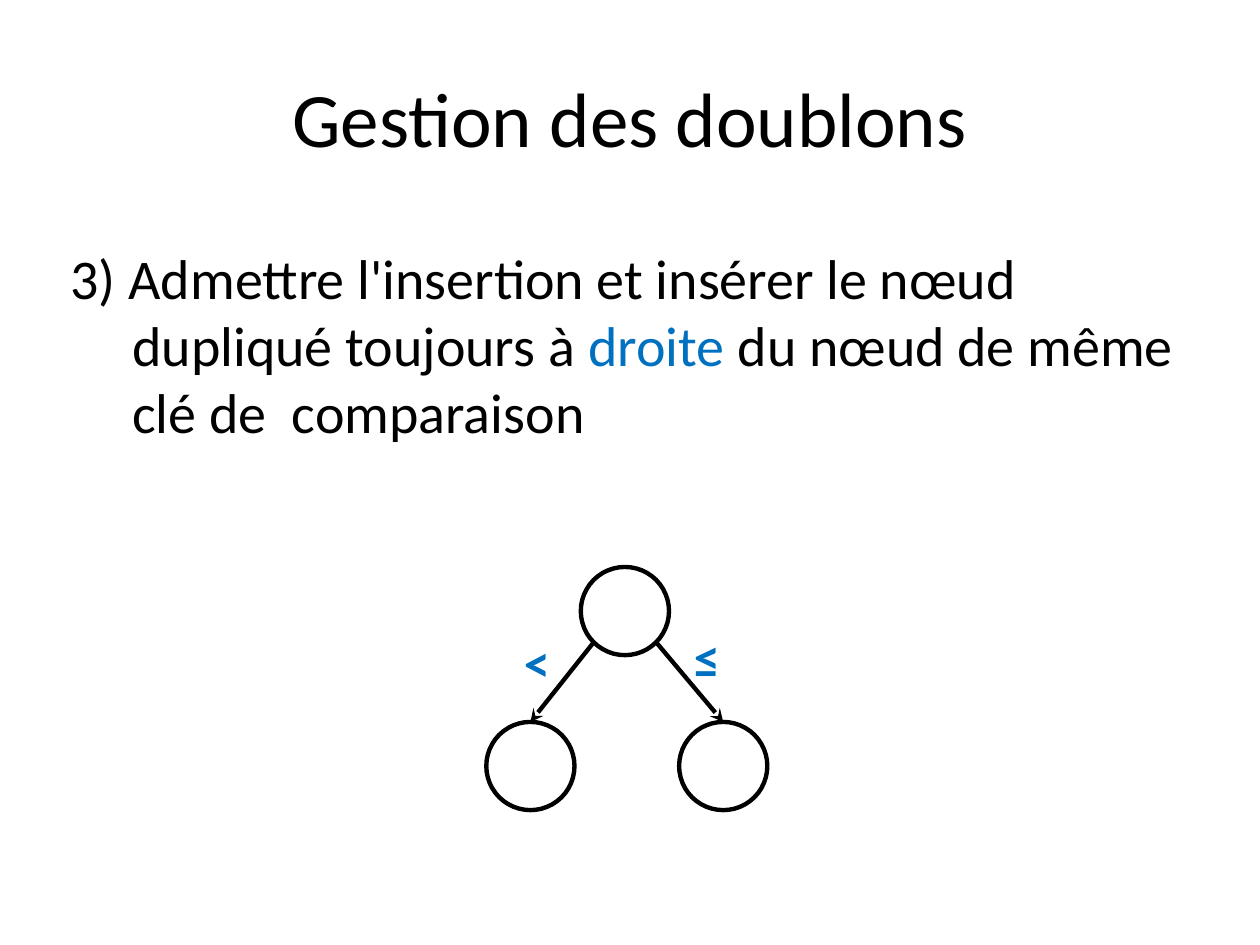
from lxml import etree
from pptx import Presentation
from pptx import util as u
from pptx.dml.color import RGBColor
from pptx.enum import shapes, text
from pptx.oxml.ns import qn

HUES = {"ink": "000000", "blue": "0070C0"}
FONT = "Calibri"


def hue(name):
    """Return a palette colour."""
    return RGBColor.from_string(HUES[name])


def put(item, box):
    """Move an item to a box of left, top, width, height in inches."""
    for key, val in zip(("left", "top", "width", "height"), box):
        setattr(item, key, u.Inches(val))


def add_run(para, words, size, tint="ink", bold=False):
    """Add a formatted run to a paragraph."""
    run = para.add_run()
    run.text = words
    style = {"name": FONT, "size": u.Pt(size), "bold": bold}
    for key, val in style.items():
        setattr(run.font, key, val)
    run.font.color.rgb = hue(tint)


def ink_line(item):
    """Give a node or an arrow its black outline."""
    item.line.color.rgb = hue("ink")
    item.line.width = u.Pt(2.5)


def add_title(slide, box, words):
    """Fill the title placeholder."""
    title = slide.shapes.title
    put(title, box)
    title.text_frame.vertical_anchor = text.MSO_ANCHOR.MIDDLE
    para = title.text_frame.paragraphs[0]
    para.alignment = text.PP_ALIGN.CENTER
    add_run(para, words, 44)


def add_body(slide, box, parts):
    """Fill the body placeholder with one hanging paragraph."""
    body = slide.placeholders[1]
    put(body, box)
    para = body.text_frame.paragraphs[0]
    props = para._p.get_or_add_pPr()
    hang = u.Inches(0.49)
    props.set("marL", str(hang))
    props.set("indent", str(-hang))
    etree.SubElement(props, qn("a:buNone"))
    for words, tint in parts:
        add_run(para, words, 32, tint)


def add_node(slide, x, y, size):
    """Draw an empty tree node."""
    node = slide.shapes.add_shape(
        shapes.MSO_SHAPE.OVAL, *map(u.Inches, (x, y, size, size)))
    node.shadow.inherit = False
    node.fill.background()
    ink_line(node)


def add_arrow(slide, *ends):
    """Draw an arrow from parent to child."""
    arrow = slide.shapes.add_connector(
        shapes.MSO_CONNECTOR.STRAIGHT, *map(u.Inches, ends))
    ink_line(arrow)
    etree.SubElement(arrow.line._ln, qn("a:tailEnd"), type="stealth")
    etree.SubElement(arrow._element.spPr, qn("a:effectLst"))


def add_sign(slide, x, y, sign):
    """Write a comparison sign beside an arrow."""
    label = slide.shapes.add_textbox(*map(u.Inches, (x, y, 0.5, 0.61)))
    frame = label.text_frame
    frame.word_wrap = True
    add_run(frame.paragraphs[0], sign, 30, "blue", True)


def add_tree(slide, x, y):
    """Draw a root and two children; x, y is the tree's top left."""
    size, drop = 0.7, 1.23
    root = x + 0.75
    add_node(slide, root, y, size)
    # child left, arrow start, sign left, sign top, sign
    sides = ((x, root + 0.1, 0.2, 0.45, "<"),
             (x + 1.53, root + size - 0.1, 1.55, 0.42, "≤"))
    for kid, start, left, top, sign in sides:
        add_node(slide, kid, y + drop, size)
        add_arrow(slide, start, y + size - 0.1, kid + size / 2, y + drop)
        add_sign(slide, x + left, y + top, sign)


def main():
    """Build the slide and save it."""
    deck = Presentation()
    deck.slide_width, deck.slide_height = u.Inches(10), u.Inches(7.5)
    slide = deck.slides.add_slide(deck.slide_layouts[1])
    add_title(slide, (0.5, 0.3, 9, 1.25), "Gestion des doublons")
    add_body(slide, (0.46, 1.88, 9.27, 5.23), (
        ("3) Admettre l'insertion et insérer le nœud dupliqué toujours à ",
         "ink"),
        ("droite", "blue"),
        (" du nœud de même clé de  comparaison", "ink")))
    add_tree(slide, 3.86, 4.5)
    deck.save("out.pptx")


main()
